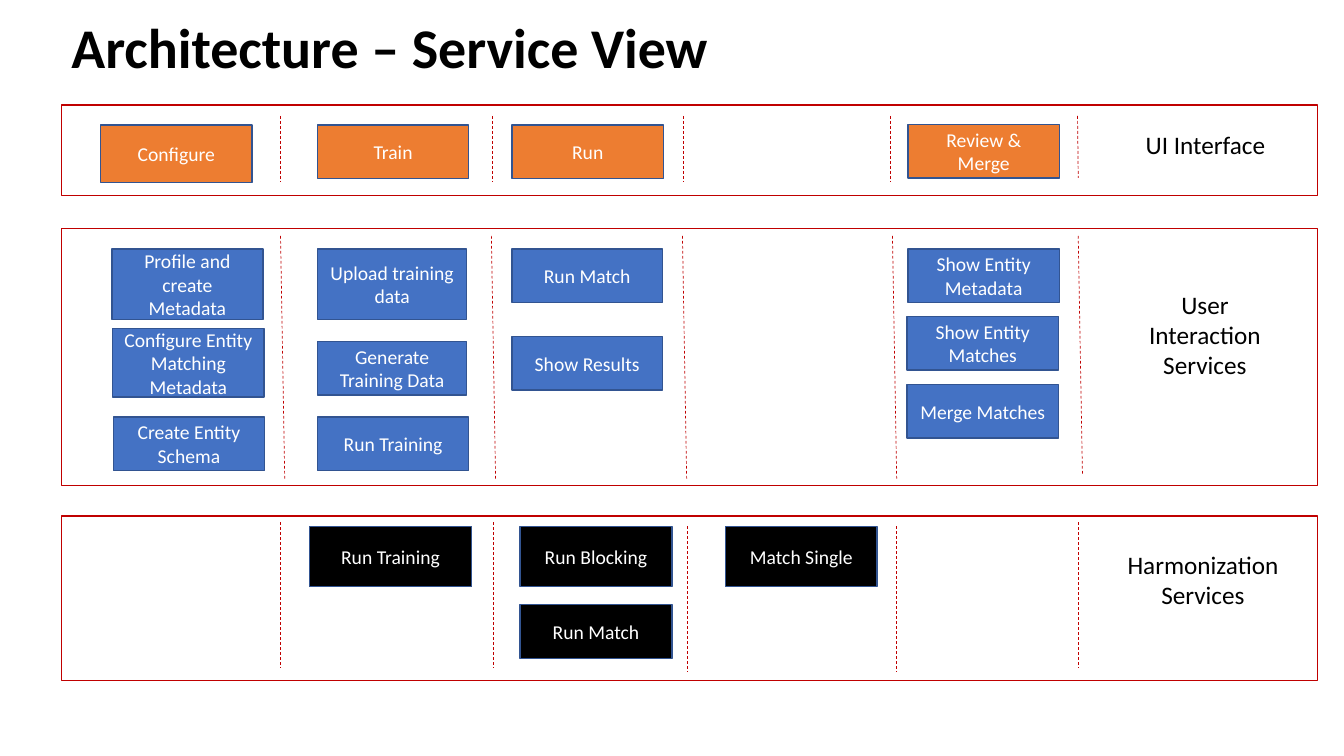
from pptx import Presentation
from pptx.util import Pt
from pptx.dml.color import RGBColor as RGB
from pptx.enum.dml import MSO_LINE as DASH
from pptx.enum.shapes import MSO_CONNECTOR as CONN, MSO_SHAPE as SHAPE
from pptx.enum.text import MSO_ANCHOR as ANCHOR, PP_ALIGN as ALIGN
from pptx.oxml.ns import qn
from lxml import etree

THEME = dict(
    font="Calibri", title=40, label=18, box=14,
    ink=RGB(0, 0, 0), white=RGB(255, 255, 255), frame=RGB(0xC0, 0, 0),
    edge=RGB(0x32, 0x54, 0x91), ui=RGB(0xED, 0x7D, 0x31),
    interaction=RGB(0x44, 0x72, 0xC4), harmonization=RGB(0, 0, 0),
)

prs = Presentation()
prs.slide_width, prs.slide_height = Pt(960), Pt(540)
s = prs.slides.add_slide(prs.slide_layouts[6])


def write(sp, text, size, color, align=ALIGN.CENTER, anchor=ANCHOR.MIDDLE, bold=False):
    tf = sp.text_frame
    tf.word_wrap = True
    tf.vertical_anchor = anchor
    for i, line in enumerate(text.split("\n")):
        p = tf.add_paragraph() if i else tf.paragraphs[0]
        p.alignment = align
        r = p.add_run()
        r.text = line
        r.font.name, r.font.size, r.font.bold = THEME["font"], Pt(THEME[size]), bold
        r.font.color.rgb = THEME[color]
    return tf


def add_rect(x, y, w, h, line, fill=None):
    sp = s.shapes.add_shape(SHAPE.RECTANGLE, Pt(x), Pt(y), Pt(w), Pt(h))
    sp.shadow.inherit = False
    if fill:
        sp.fill.solid()
        sp.fill.fore_color.rgb = THEME[fill]
    else:
        sp.fill.background()
    sp.line.color.rgb, sp.line.width = THEME[line], Pt(1)
    return sp


# Title
title = s.shapes.add_textbox(Pt(44), Pt(7.2), Pt(828), Pt(57.6))
tf = write(title, "Architecture – Service View", "title", "ink", ALIGN.LEFT, bold=True)
tf.paragraphs[0].line_spacing = 0.9

# Layer frames: top, height
for top, height in [(75, 64.8), (163.4, 183.6), (368.6, 117.4)]:
    add_rect(44, top, 897, height, "frame")

# Service boxes by layer: x, y, width, height, text
TRAIN, RUN, REVIEW, BLOCKING = 226.8, 365.8, 648.7, 371.5
services = {
    "ui": [
        (72, 89.3, 108, 41, "Configure"),
        (TRAIN, 89.3, 108, 38.2, "Train"),
        (RUN, 89.3, 108, 38.2, "Run"),
        (REVIEW, 88.9, 108, 38.2, "Review & Merge"),
    ],
    "interaction": [
        (79.9, 177.8, 108, 50.4, "Profile and create Metadata"),
        (80.6, 234.7, 108, 49, "Configure Entity Matching Metadata"),
        (81, 298, 108, 38.2, "Create Entity Schema"),
        (TRAIN, 177.8, 106.6, 50.4, "Upload training data"),
        (TRAIN, 244, 106.6, 38.2, "Generate Training Data"),
        (TRAIN, 298, 108, 38.2, "Run Training"),
        (RUN, 177.8, 107.3, 38.2, "Run Match"),
        (RUN, 240.5, 107.3, 38.2, "Show Results"),
        (REVIEW, 177.8, 108, 38.2, "Show Entity\nMetadata"),
        (648, 226.1, 108, 38.2, "Show Entity Matches"),
        (648, 274.7, 108, 38.2, "Merge Matches"),
    ],
    "harmonization": [
        (221, 376, 116, 43.2, "Run Training"),
        (BLOCKING, 376, 108.5, 43.2, "Run Blocking"),
        (BLOCKING, 432, 108.5, 38.2, "Run Match"),
        (518.4, 376, 108, 43.2, "Match Single"),
    ],
}
for layer, boxes in services.items():
    for x, y, w, h, text in boxes:
        write(add_rect(x, y, w, h, "edge", layer), text, "box", "white")

# Dashed column dividers: top, bottom, sideways lean, x positions
dividers = [
    (82.8, 130.3, 0, (200.4, 351.4, 488.2, 635.8)),
    (82.8, 127, 0.5, (769.7,)),
    (168.5, 342, 3, (200.4, 351, 487.5, 637.5)),
    (168.5, 338.4, 3, (770.2,)),
    (373, 476.6, 0, (200.4, 352.5, 770.4)),
    (375.8, 479.5, 0, (491, 640.5)),
]
for top, bottom, lean, xs in dividers:
    for x in xs:
        cx = s.shapes.add_connector(CONN.STRAIGHT, Pt(x), Pt(top), Pt(x + lean), Pt(bottom))
        cx.line.color.rgb, cx.line.width = THEME["frame"], Pt(0.5)
        cx.line.dash_style = DASH.DASH
        etree.SubElement(cx._element.spPr, qn("a:effectLst"))

# Layer names
for x, y, w, h, text in [
    (810.7, 88.6, 100.8, 28.8, "UI Interface"),
    (800.6, 203, 120.2, 72.7, "User Interaction Services"),
    (795.6, 388.8, 127.4, 51, "Harmonization Services"),
]:
    name = s.shapes.add_textbox(Pt(x), Pt(y), Pt(w), Pt(h))
    write(name, text, "label", "ink", anchor=ANCHOR.TOP)

prs.save("out.pptx")
